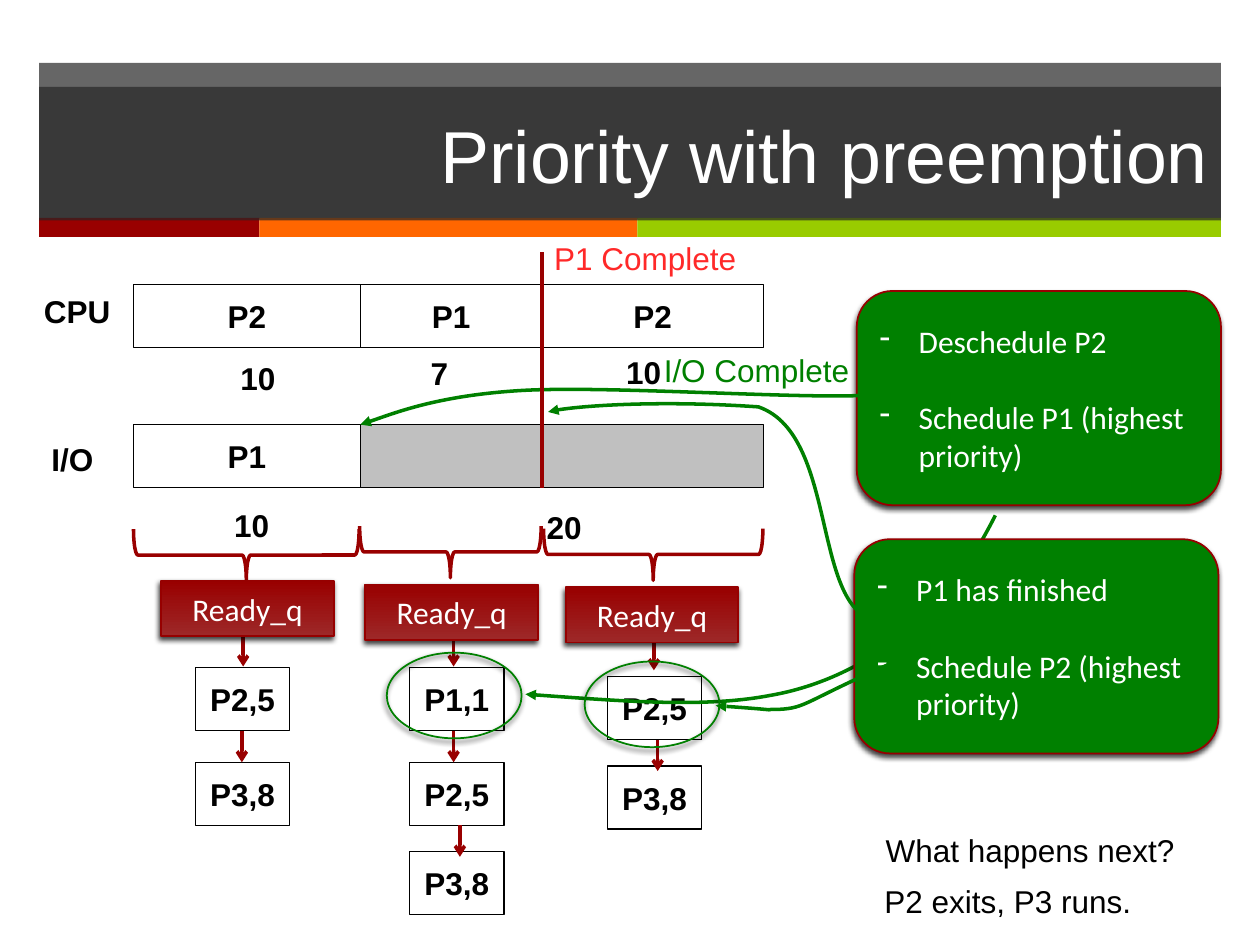
import pptx
import pptx.util
import pptx.dml.color
import pptx.enum.shapes
import pptx.enum.text
import pptx.oxml
import pptx.oxml.ns

PX = 9144
COLORS = {
    "black": "000000", "white": "FFFFFF", "gray": "C0C0C0", "dark": "262626",
    "red": "990000", "edge": "960000", "glow": "9D2828", "bright": "FF2929",
    "orange": "FF6600", "lime": "99CC00", "green": "008000",
}
SHAPE = pptx.enum.shapes.MSO_SHAPE
ALIGN = pptx.enum.text.PP_ALIGN
ANCHOR = pptx.enum.text.MSO_ANCHOR
qn = pptx.oxml.ns.qn
NS = 'xmlns:a="http://schemas.openxmlformats.org/drawingml/2006/main"'


def rgb(name):
    return pptx.dml.color.RGBColor.from_string(COLORS[name])


def add_xml(parent, xml):
    tag, rest = xml[1:].split(" ", 1)
    el = pptx.oxml.parse_xml(f"<{tag} {NS} {rest}")
    parent.append(el)
    return el


def write(p, text, size=18, font="Arial", color="black", bold=False, align=None):
    r = p.add_run()
    r.text = text
    r.font.size = pptx.util.Pt(size)
    r.font.name = font
    r.font.bold = bold
    r.font.color.rgb = rgb(color)
    p.alignment = align


class Deck:
    def __init__(self, prs):
        self.prs = prs
        self.s = prs.slides.add_slide(prs.slide_layouts[5])

    def stroke(self, sp, color, width, head=None, tail=None):
        sp.line.color.rgb = rgb(color)
        sp.line.width = pptx.util.Pt(width)
        ln = sp._element.spPr.find(qn("a:ln"))
        for end, kind in (("headEnd", head), ("tailEnd", tail)):
            if kind:
                add_xml(ln, f'<a:{end} type="{kind}"/>')

    def fade(self, sp, color):
        sp.fill.solid()
        sp.fill.fore_color.rgb = rgb(color)
        add_xml(sp._element.spPr.find(qn("a:solidFill"))[0], '<a:alpha val="70000"/>')

    def shape(self, kind, x, y, w, h, fill=None, line=None, width=0.75, shadow=False):
        sp = self.s.shapes.add_shape(kind, x * PX, y * PX, w * PX, h * PX)
        if fill:
            sp.fill.solid()
            sp.fill.fore_color.rgb = rgb(fill)
        else:
            sp.fill.background()
        if line:
            self.stroke(sp, line, width)
        else:
            sp.line.fill.background()
        sp.shadow.inherit = False
        if shadow:
            add_xml(sp._element.spPr.find(qn("a:effectLst")),
                    '<a:outerShdw blurRad="38100" dist="25400" dir="6600000" rotWithShape="0">'
                    '<a:srgbClr val="000000"><a:alpha val="75000"/></a:srgbClr></a:outerShdw>')
        return sp

    def title(self, text, x, y, w, h):
        sp = self.s.shapes.title
        sp.left, sp.top, sp.width, sp.height = x * PX, y * PX, w * PX, h * PX
        self.fade(sp, "dark")
        tf = sp.text_frame
        tf.auto_size = pptx.enum.text.MSO_AUTO_SIZE.NONE
        tf.vertical_anchor = ANCHOR.MIDDLE
        write(tf.paragraphs[0], text, size=42, color="white", align=ALIGN.RIGHT)
        sp._element.getparent().append(sp._element)

    def box(self, text, x, y, w, h=50):
        tf = self.shape(SHAPE.RECTANGLE, x, y, w, h, line="black").text_frame
        tf.word_wrap = False
        tf.vertical_anchor = ANCHOR.MIDDLE
        write(tf.paragraphs[0], text, bold=True, align=ALIGN.CENTER)

    def text(self, text, x, y, w, wrap=True, **fmt):
        tf = self.s.shapes.add_textbox(x * PX, y * PX, w * PX, 40 * PX).text_frame
        tf.word_wrap = wrap
        write(tf.paragraphs[0], text, **fmt)

    def callout(self, lines, x, y):
        sp = self.shape(SHAPE.ROUNDED_RECTANGLE, x, y, 289, 170, "green", "edge", 1, True)
        tf = sp.text_frame
        tf.word_wrap = True
        tf.vertical_anchor = ANCHOR.MIDDLE
        for i, line in enumerate(lines):
            p = tf.add_paragraph() if i else tf.paragraphs[0]
            write(p, line, font="Calibri", color="white", align=ALIGN.LEFT)
            p.space_before = pptx.util.Pt(22 if i else 0)
            pPr = p._p.get_or_add_pPr()
            pPr.set("marL", str(31 * PX))
            pPr.set("indent", str(-31 * PX))
            add_xml(pPr, '<a:buChar char="-"/>')

    def ready(self, x, y):
        sp = self.shape(SHAPE.RECTANGLE, x, y, 137, 44, "red", "edge", 1, True)
        sp.fill.gradient()
        sp.fill.gradient_angle = 90
        for stop, color, at in zip(sp.fill.gradient_stops, ("glow", "red"), (0, 1)):
            stop.color.rgb = rgb(color)
            stop.position = at
        tf = sp.text_frame
        tf.vertical_anchor = ANCHOR.MIDDLE
        write(tf.paragraphs[0], "Ready_q", font="Calibri", color="white", align=ALIGN.CENTER)

    def brace(self, x, y, h):
        sp = self.shape(SHAPE.LEFT_BRACE, x, y, 41, h, line="red", width=2)
        sp.rotation = 270

    def line(self, x, y1, y2, tail=None):
        sp = self.s.shapes.add_connector(pptx.enum.shapes.MSO_CONNECTOR.STRAIGHT,
                                         x * PX, y1 * PX, x * PX, y2 * PX)
        self.stroke(sp, "red", 2, tail=tail)
        add_xml(sp._element.spPr, "<a:effectLst />")

    def ring(self, x, y):
        self.shape(SHAPE.OVAL, x, y, 107, 68, line="green", width=1, shadow=True)

    def curve(self, points, **ends):
        points = [(x * PX, y * PX) for x, y in points]
        fb = self.s.shapes.build_freeform(*points[0])
        fb.add_line_segments(points[1:], close=False)
        sp = fb.convert_to_shape()
        path = next(sp._element.iter(qn("a:path")))
        segments = path.findall(qn("a:lnTo"))
        for i in range(0, len(segments), 3):
            bezier = add_xml(path, "<a:cubicBezTo />")
            for segment in segments[i:i + 3]:
                bezier.append(segment[0])
                path.remove(segment)
        sp.fill.background()
        sp.shadow.inherit = False
        self.stroke(sp, "green", 2, **ends)


def main():
    prs = pptx.Presentation()
    prs.slide_width, prs.slide_height = 1000 * PX, 750 * PX
    d = Deck(prs)

    d.fade(d.shape(SHAPE.RECTANGLE, 31, 50, 938, 124, "dark"), "dark")
    for x, w, color in ((31, 175, "red"), (206, 300, "orange"), (506, 463, "lime")):
        d.shape(SHAPE.RECTANGLE, x, 173, w, 15, color)
    d.title("Priority with preemption", 31, 69, 938, 106)

    for text, x, y, w in (("P2", 106, 226, 180), ("P1", 286, 226, 144),
                          ("P2", 430, 226, 176), ("P1", 106, 337, 180)):
        d.box(text, x, y, w)
    for text, x, y, w in (("10", 181, 280, 48), ("7", 332, 276, 34), ("10", 487, 275, 48),
                          ("10", 176, 397, 48), ("20", 424, 398, 48),
                          ("CPU", 25, 227, 73), ("I/O", 31, 344, 53)):
        d.text(text, x, y, w, wrap=False, bold=True)
    d.shape(SHAPE.RECTANGLE, 286, 337, 320, 50, "gray", "black")

    d.callout(("Deschedule P2", "Schedule P1 (highest priority)"), 680, 231)
    d.curve([(681, 314), (621, 316), (478, 306), (413, 310),
             (347, 314), (302, 332), (286, 337)], tail="triangle")
    d.text("I/O Complete", 517, 274, 176, color="green")
    d.line(430, 387, 200)
    d.text("P1 Complete", 430, 185, 176, color="bright")

    queues = (
        ((175, 351, 179), (128, 461), 155, (("P2,5", 530), ("P3,8", 605)),
         ((193, 504), (192, 580))),
        ((337, 366, 144), (290, 464), 325, (("P1,1", 530), ("P2,5", 605), ("P3,8", 676)),
         ((360, 504), (360, 580), (365, 655))),
        ((498, 353, 174), (449, 466), 482, (("P2,5", 537), ("P3,8", 608)),
         ((519, 507), (522, 587))),
    )
    for brace, label, left, jobs, arrows in queues:
        d.brace(*brace)
        for job, top in jobs:
            d.box(job, left, top, 75)
        for x, y in arrows:
            d.line(x, y, y + 25, tail="arrow")
        d.ready(*label)

    d.ring(307, 518)
    d.curve([(417, 551), (488, 556), (559, 562), (611, 552), (663, 543),
             (700, 518), (730, 494), (760, 470), (790, 409), (790, 409)], head="triangle")
    d.ring(464, 525)
    d.callout(("P1 has finished", "Schedule P2 (highest priority)"), 678, 428)
    d.curve([(568, 560), (639, 565), (595, 563), (618, 563),
             (640, 562), (638, 557), (706, 527)], head="triangle")
    d.curve([(702, 493), (642, 494), (668, 346), (602, 323),
             (531, 318), (451, 322), (435, 327)], tail="triangle")
    d.text("What happens next?", 693, 655, 261)
    d.text("P2 exits, P3 runs.", 692, 695, 261)
    prs.save("out.pptx")


if __name__ == "__main__":
    main()
